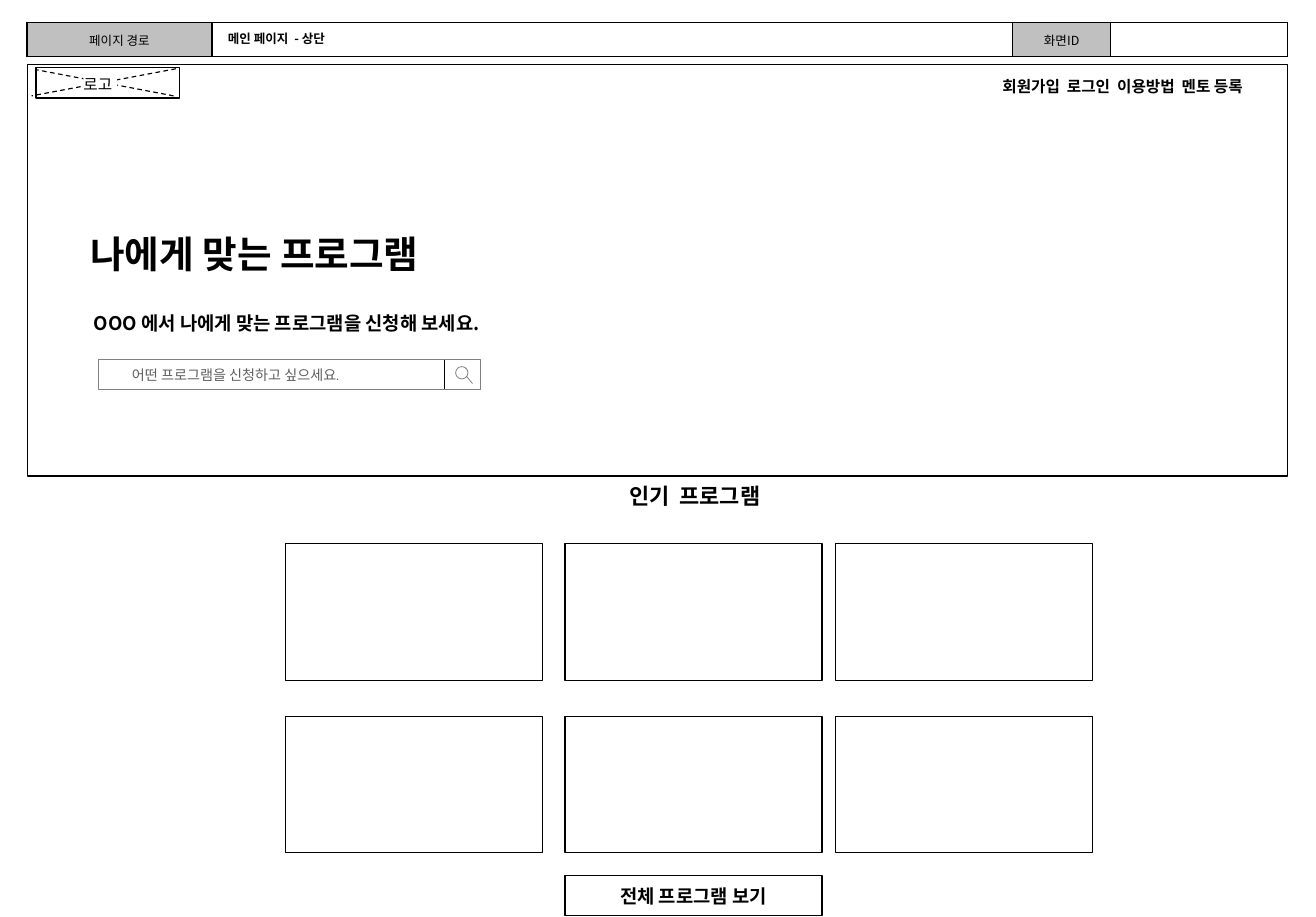
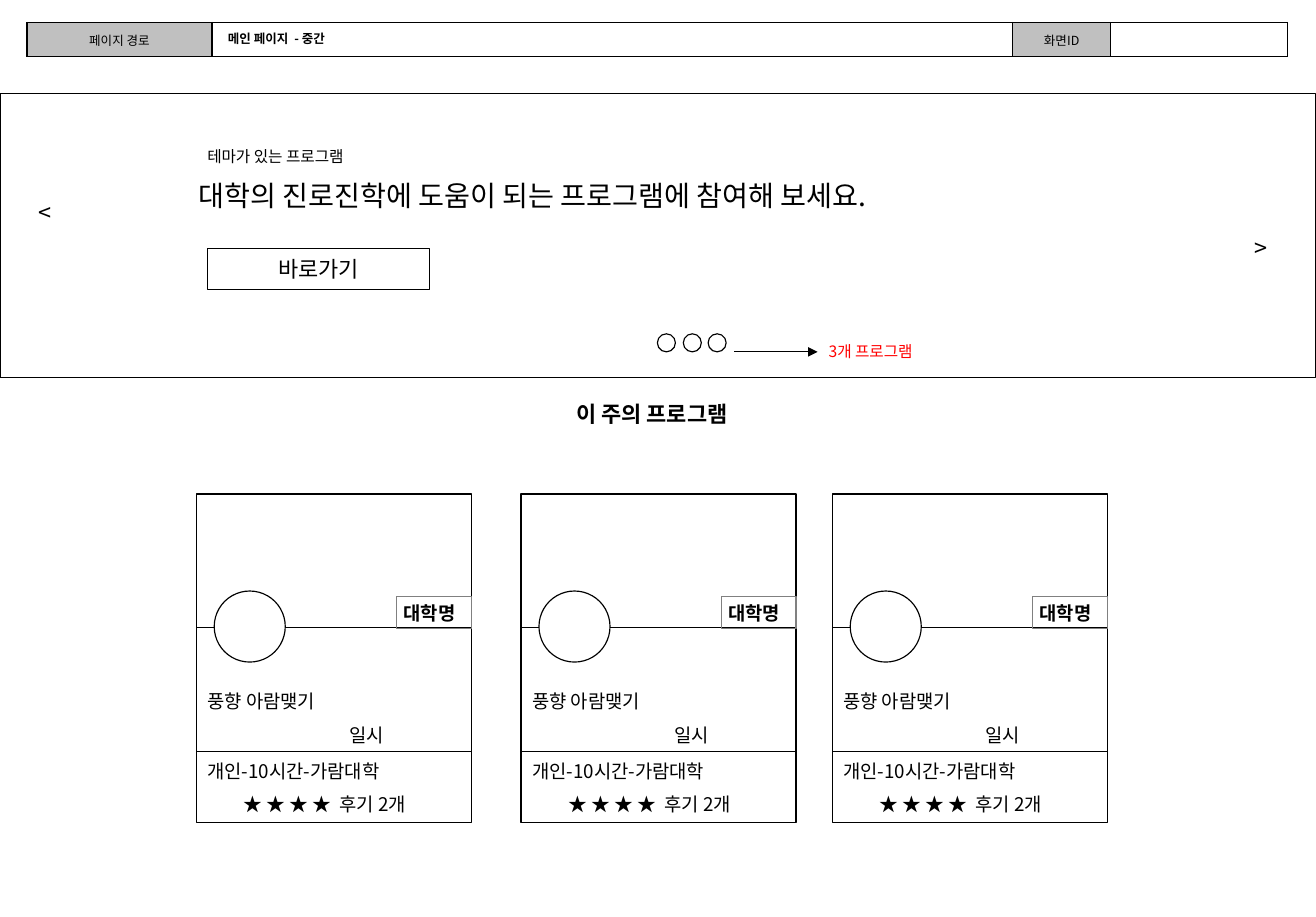
from dataclasses import dataclass
from itertools import product

from lxml.etree import SubElement
from pptx import Presentation
from pptx.dml.color import RGBColor as RGB
from pptx.enum.dml import MSO_LINE
from pptx.enum.shapes import MSO_CONNECTOR, MSO_SHAPE
from pptx.enum.text import MSO_ANCHOR as ANCHOR, MSO_AUTO_SIZE as FIT, PP_ALIGN as ALIGN
from pptx.oxml.ns import qn
from pptx.util import Pt

PX = 9144


@dataclass(frozen=True)
class Theme:
    font: str = "Noto Sans CJK KR"
    hint_font: str = "Roboto"
    black: str = "000000"
    white: str = "FFFFFF"
    band: str = "C0C0C0"
    gray: str = "808080"
    hint: str = "5F5F5F"
    red: str = "FF0000"
    label: int = 8
    small: int = 9
    note: int = 10
    body: int = 12
    section: int = 14
    arrow: int = 15
    lead: int = 18
    hero: int = 24
    thin: float = 0.5
    rule: float = 0.75


T = Theme()
RECT, OVAL, LINE = MSO_SHAPE.RECTANGLE, MSO_SHAPE.OVAL, MSO_CONNECTOR.STRAIGHT
SNUG = dict(margin_left=6 * PX, margin_right=6 * PX, margin_top=4 * PX, margin_bottom=4 * PX)
ONE_LINE = dict(SNUG, word_wrap=False)
BUTTON = dict(ONE_LINE, vertical_anchor=ANCHOR.MIDDLE)


def write(tf, text, size, color=T.black, bold=False, font=T.font, align=ALIGN.LEFT, frame=None):
    for name, value in (frame or {}).items():
        setattr(tf, name, value)
    p = tf.paragraphs[0]
    p.alignment = align
    r = p.add_run()
    r.text = text
    for name, value in dict(size=Pt(size), bold=bold, name=font).items():
        setattr(r.font, name, value)
    r.font.color.rgb = RGB.from_string(color)
    SubElement(r.font._element, qn("a:ea"), typeface=T.font)


def draw(s, kind, at, text="", size=T.body, fill=None, line=T.black, width=T.rule, frame=None, **style):
    at = [v * PX for v in at]
    if kind is None:
        sp = s.shapes.add_textbox(*at)
    elif kind is LINE:
        sp = s.shapes.add_connector(kind, *at)
    else:
        sp = s.shapes.add_shape(kind, *at)
        sp.shadow.inherit = False
        if fill:
            sp.fill.solid()
            sp.fill.fore_color.rgb = RGB.from_string(fill)
        else:
            sp.fill.background()
    if kind is not None and line:
        sp.line.color.rgb = RGB.from_string(line)
        sp.line.width = Pt(width)
    elif kind is not None:
        sp.line.fill.background()
    if kind is LINE:
        SubElement(sp.element.spPr, qn("a:effectLst"))
    if text:
        write(sp.text_frame, text, size, frame={"word_wrap": True, **(frame or {})}, **style)
    return sp


prs = Presentation()
prs.slide_width, prs.slide_height = 1167 * PX, 813 * PX
layout = prs.slide_layouts[5]

slides = []
for route in ("메인 페이지  - 상단", "메인 페이지  - 중간"):
    s = prs.slides.add_slide(layout)
    title = s.shapes.title
    for name, value in dict(left=190, top=20, width=701, height=28).items():
        setattr(title, name, value * PX)
    write(title.text_frame, route, T.label, bold=True,
          frame=dict(SNUG, margin_left=12 * PX, vertical_anchor=ANCHOR.MIDDLE,
                     word_wrap=True, auto_size=FIT.NONE))
    slides.append(s)
top, middle = slides

header = top.shapes.add_table(1, 4, 24 * PX, 20 * PX, 1118 * PX, 30 * PX)
tbl = header.table
tbl.first_row = tbl.horz_banding = False
for col, width in zip(tbl.columns, (164, 710, 87, 157)):
    col.width = width * PX
for cell, text in zip(tbl.rows[0].cells, ("페이지 경로", "", "화면ID", "")):
    cell.vertical_anchor = ANCHOR.MIDDLE
    tcPr = cell._tc.get_or_add_tcPr()
    for side in ("lnL", "lnR", "lnT", "lnB"):
        ln = SubElement(tcPr, qn(f"a:{side}"), w=str(Pt(1)))
        SubElement(SubElement(ln, qn("a:solidFill")), qn("a:srgbClr"), val=T.black)
    if text:
        cell.fill.solid()
        cell.fill.fore_color.rgb = RGB.from_string(T.band)
        write(cell.text_frame, text, T.label, align=ALIGN.CENTER)
    else:
        cell.fill.background()
        SubElement(cell.text_frame.paragraphs[0]._p, qn("a:endParaRPr"), sz=str(T.label * 100))
layout.shapes.element.append(header.element)

s = top
for at, text, size, frame in (
    ((74, 201, 331, 48), "나에게 맞는 프로그램", T.hero, ONE_LINE),
    ((77, 272, 391, 28), "OOO 에서 나에게 맞는 프로그램을 신청해 보세요.", T.body, ONE_LINE),
    ((883, 64, 252, 25), "회원가입  로그인  이용방법  멘토 등록", T.note, ONE_LINE),
    ((552, 424, 147, 32), "인기  프로그램", T.section, SNUG),
):
    draw(s, None, at, text, size, bold=True, frame=frame)

draw(s, RECT, (87, 319, 339, 26), "어떤 프로그램을 신청하고 싶으세요.", T.small, fill=T.white,
     line=T.gray, width=T.thin, color=T.hint, font=T.hint_font,
     frame=dict(SNUG, margin_left=30 * PX, vertical_anchor=ANCHOR.MIDDLE))
draw(s, OVAL, (404, 325, 11, 11), fill=T.white, line=T.gray, width=T.thin)
draw(s, LINE, (414, 334, 419, 340), line=T.gray, width=T.thin)
draw(s, LINE, (394, 319, 394, 345))

for y, x in product((482, 635), (253, 501, 741)):
    draw(s, RECT, (x, y, 228, 121))
draw(s, RECT, (501, 776, 228, 36), "전체 프로그램 보기", T.body, bold=True,
     align=ALIGN.CENTER, frame=BUTTON)

draw(s, RECT, (32, 60, 127, 27))
for ends in ((156, 61, 28, 85), (154, 85, 33, 62)):
    draw(s, LINE, ends).line.dash_style = MSO_LINE.DASH
draw(s, RECT, (74, 66, 30, 17), "로고", T.note, fill=T.white, line=None,
     frame=dict(dict.fromkeys(SNUG, 0), vertical_anchor=ANCHOR.MIDDLE))
draw(s, RECT, (24, 57, 1118, 365))

s = middle
draw(s, RECT, (0, 83, 1167, 252))
for x, y, turn in ((21, 174, 270), (1092, 197, 90)):
    sp = draw(s, None, (x, y, 45, 38), "<", T.arrow)
    sp.rotation = turn
    sp.text_frame._txBody.bodyPr.set("vert", "eaVert")
draw(s, None, (174, 125, 874, 27), "테마가 있는 프로그램", T.note)
draw(s, None, (166, 153, 874, 40), "대학의 진로진학에 도움이 되는 프로그램에 참여해 보세요.", T.lead)
draw(s, RECT, (184, 220, 197, 37), "바로가기", T.section, align=ALIGN.CENTER, frame=BUTTON)
for x in (583, 606, 628):
    draw(s, OVAL, (x, 296, 16, 16))
arrow = draw(s, LINE, (651, 312, 725, 312))
SubElement(arrow.element.spPr.find(qn("a:ln")), qn("a:tailEnd"), type="triangle")
draw(s, None, (725, 298, 134, 27), "3개 프로그램", T.note, color=T.red)
draw(s, None, (505, 351, 252, 32), "이 주의 프로그램", T.section, bold=True, frame=SNUG)

for x in (174, 462, 738):
    draw(s, RECT, (x, 438, 244, 291))
    for y in (556, 666):
        draw(s, LINE, (x, y, x + 244, y))
    draw(s, OVAL, (x + 16, 524, 63, 63), fill=T.white)
    draw(s, RECT, (x + 178, 529, 66, 28), "대학명", line=T.gray, bold=True,
         frame=dict(SNUG, vertical_anchor=ANCHOR.TOP))
    for dx, y, width, text in (
        (0, 607, 244, "풍향 아람맺기"),
        (126, 637, 63, "일시"),
        (0, 669, 291, "개인-10시간-가람대학"),
        (32, 698, 291, "★ ★ ★ ★  후기 2개"),
    ):
        draw(s, None, (x + dx, y, width, 30), text)

prs.save("out.pptx")
